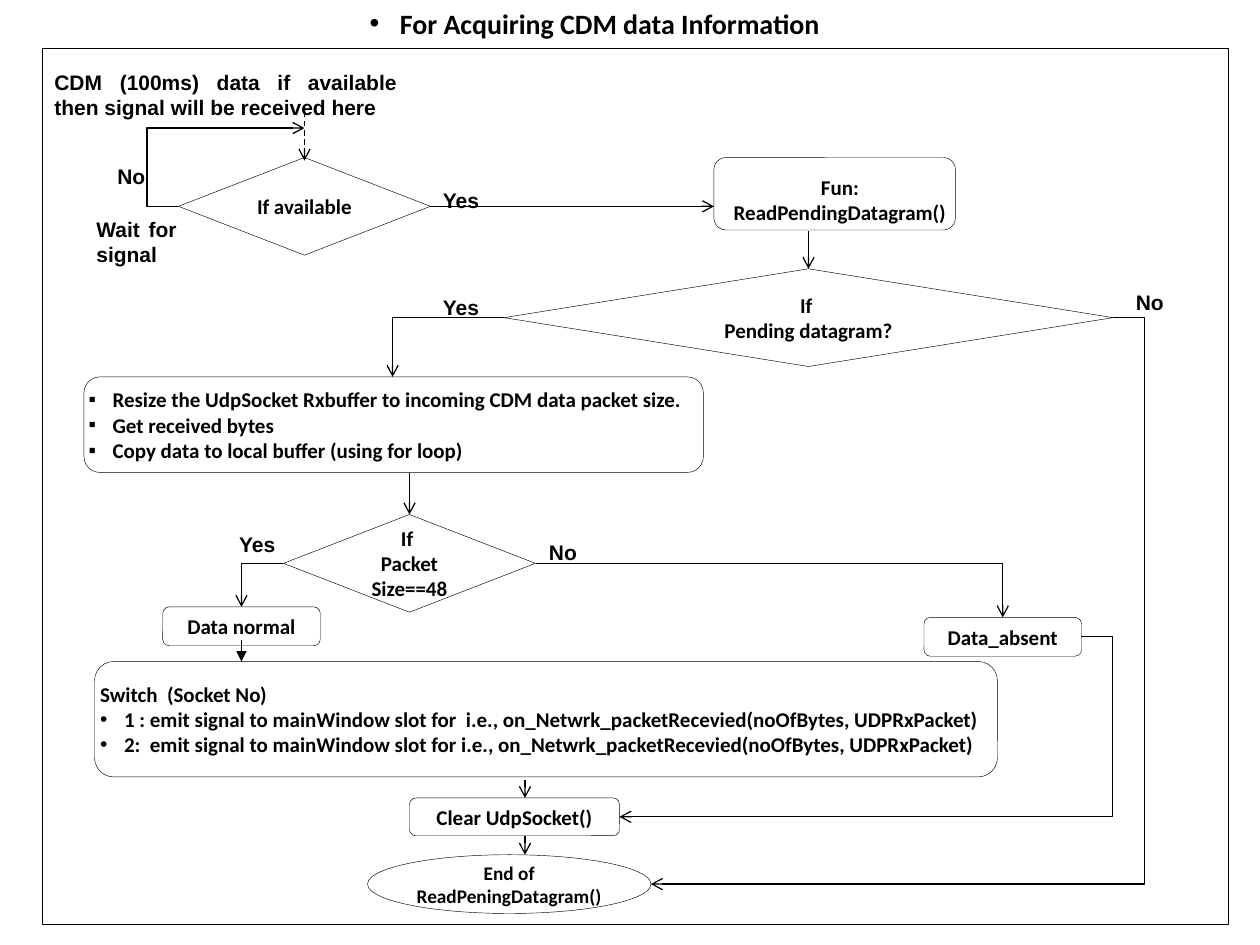
import pptx
import pptx.util
import pptx.dml.color
import pptx.enum.dml
import pptx.enum.shapes
import pptx.enum.text
import pptx.oxml.ns
from lxml import etree

SHAPE = pptx.enum.shapes.MSO_SHAPE
LINK = pptx.enum.shapes.MSO_CONNECTOR
ALIGN = pptx.enum.text.PP_ALIGN
ANCHOR = pptx.enum.text.MSO_ANCHOR
qn = pptx.oxml.ns.qn

THEME = {
    "ink": pptx.dml.color.RGBColor(0, 0, 0),
    "flow_font": "Calibri", "label_font": "Arial",
    "title_size": 16, "text_size": 12, "end_size": 11,
    "outline": 0.26, "arrow": 0.74,
    "title_indent": 0.24, "list_indent": 0.19,
}
COLUMNS, ROWS = 120, 90
PADDED, TIGHT = (0.1, 0.05), (0, 0)

TITLE = ("For Acquiring CDM data Information", (34, 0, 50, 4.4))
SLOT = "on_Netwrk_packetRecevied(noOfBytes, UDPRxPacket)"

NODES = {
    "frame": (SHAPE.RECTANGLE, (4, 4.6, 113, 83.4), [], TIGHT),
    "read": (SHAPE.ROUNDED_RECTANGLE, (68, 15, 23, 6.9), [], TIGHT),
    "available": (SHAPE.FLOWCHART_DECISION, (17, 15, 24, 9.3), ["If available"], TIGHT),
    "pending": (SHAPE.FLOWCHART_DECISION, (48, 25.6, 58, 9.3), ["If ", "Pending datagram?"], TIGHT),
    "resize": (SHAPE.ROUNDED_RECTANGLE, (8, 35.9, 59, 9.1), [
        "▪Resize the UdpSocket Rxbuffer to incoming CDM data packet size.",
        "▪Get received bytes",
        "▪Copy data to local buffer (using for loop)"], TIGHT),
    "packet": (SHAPE.FLOWCHART_DECISION, (27, 49, 24, 9.3), ["If ", "Packet Size==48"], TIGHT),
    "normal": (SHAPE.ROUNDED_RECTANGLE, (15.5, 57.8, 15, 3.7), ["Data normal"], PADDED),
    "absent": (SHAPE.ROUNDED_RECTANGLE, (88, 58.8, 15, 3.7), ["Data_absent"], PADDED),
    "switch": (SHAPE.ROUNDED_RECTANGLE, (9, 63, 86, 11), [
        "Switch  (Socket No)",
        "•1 : emit signal to mainWindow slot for  i.e., " + SLOT,
        "•2:  emit signal to mainWindow slot for i.e., " + SLOT], TIGHT),
    "clear": (SHAPE.ROUNDED_RECTANGLE, (39, 76, 20, 3.6), ["Clear UdpSocket()"], PADDED),
    "end": (SHAPE.OVAL, (35, 81.4, 27, 5.6), ["End of ReadPeningDatagram()"], TIGHT),
}
LISTS = {"resize", "switch"}

LABELS = [
    (["Yes"], (41, 17.3, 7, 3.6), ALIGN.LEFT),
    (["Yes"], (41, 27.5, 7, 3.6), ALIGN.LEFT),
    (["No"], (107, 27, 7, 3.6), ALIGN.LEFT),
    (["Yes"], (21.6, 50, 7, 3.6), ALIGN.LEFT),
    (["No"], (51.1, 50.8, 7, 3.6), ALIGN.LEFT),
    (["No"], (10, 15, 7, 3.6), ALIGN.LEFT),
    (["CDM (100ms) data if available then signal will be received here"],
     (4, 6, 35, 6), ALIGN.JUSTIFY),
    (["Wait for ", "signal"], (8, 20, 10, 6), ALIGN.JUSTIFY),
]
CALL = (["Fun:", "ReadPendingDatagram()"], (68, 16, 24, 6), ALIGN.CENTER)


def edge(name, side):
    left, top, width, height = NODES[name][1]
    return {"left": (left, top + height / 2), "right": (left + width, top + height / 2),
            "top": (left + width / 2, top), "bottom": (left + width / 2, top + height)}[side]


ENTRY = edge("available", "top")
STRAIGHT = [
    ((ENTRY[0], 10.7), (ENTRY[0], 15.3), "arrow", True),
    (edge("available", "right"), (68, edge("available", "right")[1]), "arrow", False),
    ((77, 22), edge("pending", "top"), "arrow", False),
    ((39, 45), edge("packet", "top"), "arrow", False),
    ((50, 74.3), (50, 76), "arrow", False),
    ((50, 79.6), (50, 81.4), "arrow", False),
    ((23, 61), (23, 63), "triangle", False),
]
CORNERS = [
    (edge("pending", "left"), (37.4, 35.9)),
    (edge("packet", "left"), edge("normal", "top")),
    (edge("packet", "right"), edge("absent", "top")),
]
DETOURS = [
    (edge("available", "left"), (ENTRY[0], 12.2), 3),
    (edge("pending", "right"), edge("end", "right"), 3),
    (edge("absent", "right"), edge("clear", "right"), 3),
]

deck = pptx.Presentation()
deck.slide_width, deck.slide_height = pptx.util.Inches(10), pptx.util.Inches(7.5)
page = deck.slides.add_slide(deck.slide_layouts[5])


def across(columns):
    return round(deck.slide_width * columns / COLUMNS)


def down(rows):
    return round(deck.slide_height * rows / ROWS)


def place(area):
    left, top, width, height = area
    return across(left), down(top), across(width), down(height)


def indent(para, inches, mark=None):
    props = para._p.get_or_add_pPr()
    step = pptx.util.Inches(inches)
    props.set("marL", str(step))
    props.set("indent", str(-step))
    if mark:
        etree.SubElement(props, qn("a:buFont"), typeface="Arial")
        etree.SubElement(props, qn("a:buChar"), char=mark)


def write(box, lines, font, size, align, anchor, inset, step=None):
    frame = box.text_frame
    frame.word_wrap = True
    frame.auto_size = pptx.enum.text.MSO_AUTO_SIZE.NONE
    frame.vertical_anchor = anchor
    frame.margin_left = frame.margin_right = pptx.util.Inches(inset[0])
    frame.margin_top = frame.margin_bottom = pptx.util.Inches(inset[1])
    for number, line in enumerate(lines):
        para = frame.paragraphs[0] if number == 0 else frame.add_paragraph()
        mark = line[0] if line[0] in "▪•" else None
        para.text = line[1:] if mark else line
        para.alignment = align
        para.font.name, para.font.size, para.font.bold = font, pptx.util.Pt(size), True
        para.font.color.rgb = THEME["ink"]
        if step:
            indent(para, step, mark)


def add_label(lines, area, align, font):
    write(page.shapes.add_textbox(*place(area)), lines, font, THEME["text_size"],
          align, ANCHOR.TOP, PADDED)


def add_arrow(kind, start, finish, head="arrow", dashed=False):
    link = page.shapes.add_connector(kind, across(start[0]), down(start[1]),
                                     across(finish[0]), down(finish[1]))
    link.line.color.rgb = THEME["ink"]
    link.line.width = pptx.util.Pt(THEME["arrow"])
    if dashed:
        link.line.dash_style = pptx.enum.dml.MSO_LINE.DASH
    etree.SubElement(link.line._get_or_add_ln(), qn("a:tailEnd"), type=head)
    etree.SubElement(link._element.spPr, qn("a:effectLst"))
    return link._element.spPr.find(qn("a:prstGeom"))


title = page.shapes.title
title.left, title.top, title.width, title.height = place(TITLE[1])
write(title, ["•" + TITLE[0]], THEME["flow_font"], THEME["title_size"],
      ALIGN.LEFT, ANCHOR.TOP, PADDED, THEME["title_indent"])

for name, (kind, area, lines, inset) in NODES.items():
    node = page.shapes.add_shape(kind, *place(area))
    node.shadow.inherit = False
    node.fill.background()
    node.line.color.rgb = THEME["ink"]
    node.line.width = pptx.util.Pt(THEME["outline"])
    listed = name in LISTS
    write(node, lines, THEME["flow_font"], THEME["end_size" if name == "end" else "text_size"],
          ALIGN.JUSTIFY if listed else ALIGN.CENTER, ANCHOR.MIDDLE, inset,
          THEME["list_indent"] if listed else None)

for start, finish, head, dashed in STRAIGHT:
    add_arrow(LINK.STRAIGHT, start, finish, head, dashed)
for start, finish in CORNERS:
    add_arrow(LINK.ELBOW, start, finish).set("prst", "bentConnector2")
for start, finish, reach in DETOURS:
    shape = add_arrow(LINK.ELBOW, start, finish)
    bend = round(-100000 * reach / abs(finish[0] - start[0]))
    guides = shape.find(qn("a:avLst"))
    etree.SubElement(guides, qn("a:gd"), name="adj1", fmla=f"val {bend}")

for lines, area, align in LABELS:
    add_label(lines, area, align, THEME["label_font"])
add_label(*CALL, THEME["flow_font"])

deck.save("out.pptx")
